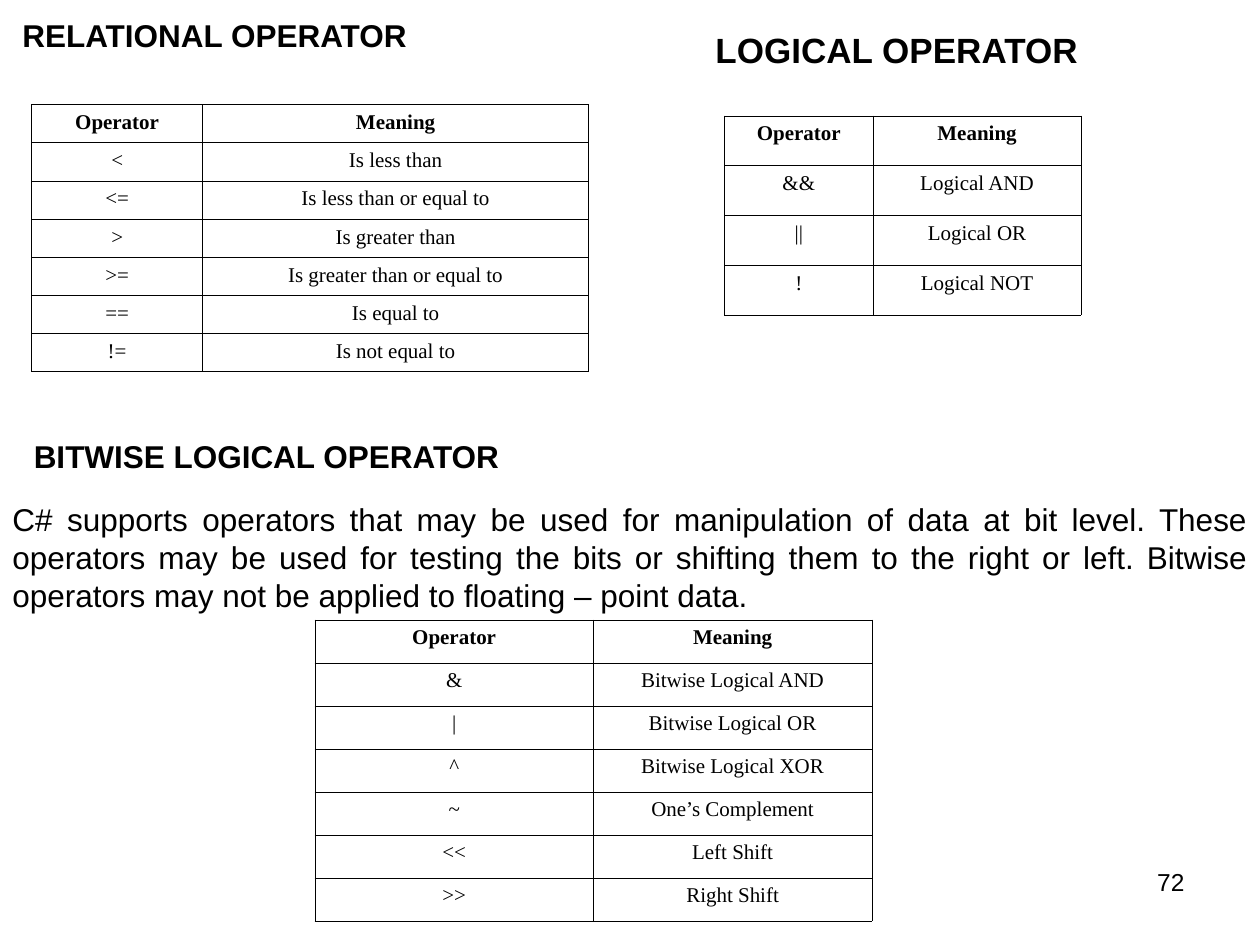
from lxml.etree import SubElement
from pptx import Presentation
from pptx.dml.color import RGBColor
from pptx.enum.text import MSO_ANCHOR as Anchor, MSO_AUTO_SIZE as AutoSize, PP_ALIGN as Align
from pptx.oxml.ns import qn
from pptx.util import Inches, Pt

BLACK = "000000"
HEADER = ("Operator", "Meaning")
RELATIONAL = [
    HEADER,
    ("<", "Is less than"),
    ("<=", "Is less than or equal to"),
    (">", "Is greater than"),
    (">=", "Is greater than or equal to"),
    ("==", "Is equal to"),
    ("!=", "Is not equal to"),
]
LOGICAL = [
    HEADER,
    ("&&", "Logical AND"),
    ("||", "Logical OR"),
    ("!", "Logical NOT"),
]
BITWISE = [
    HEADER,
    ("&", "Bitwise Logical AND"),
    ("|", "Bitwise Logical OR"),
    ("^", "Bitwise Logical XOR"),
    ("~", "One’s Complement"),
    ("<<", "Left Shift"),
    (">>", "Right Shift"),
]
BITWISE_INTRO = (
    "C# supports operators that may be used for manipulation of data at bit level. "
    "These operators may be used for testing the bits or shifting them to the right or left. "
    "Bitwise operators may not be applied to floating – point data."
)


def color(hex_value):
    return RGBColor.from_string(hex_value)


def add_run(paragraph, text, size, font="Arial", bold=False):
    run = paragraph.add_run()
    run.text = text
    run.font.size = Pt(size)
    run.font.name = font
    run.font.bold = bold
    run.font.color.rgb = color(BLACK)


def add_text(slide, text, left, top, width, height, size=18, bold=False,
             align=Align.LEFT, anchor=Anchor.MIDDLE):
    box = slide.shapes.add_textbox(Inches(left), Inches(top), Inches(width), Inches(height))
    frame = box.text_frame
    frame.word_wrap = True
    frame.auto_size = AutoSize.SHAPE_TO_FIT_TEXT if anchor == Anchor.MIDDLE else AutoSize.NONE
    frame.vertical_anchor = anchor
    paragraph = frame.paragraphs[0]
    paragraph.alignment = align
    add_run(paragraph, text, size, bold=bold)


def add_borders(cell, width=0.45):
    properties = cell._tc.get_or_add_tcPr()
    for side in ("a:lnL", "a:lnR", "a:lnT", "a:lnB"):
        line = SubElement(properties, qn(side), w=str(Pt(width)))
        fill = SubElement(line, qn("a:solidFill"))
        SubElement(fill, qn("a:srgbClr"), val=BLACK)


def fill_cell(cell, text, bold):
    add_borders(cell)
    cell.fill.background()
    paragraph = cell.text_frame.paragraphs[0]
    paragraph.alignment = Align.CENTER
    add_run(paragraph, text, 12, "Times New Roman", bold)


def add_operator_table(slide, operators, left, top, column_widths, height):
    frame = slide.shapes.add_table(
        len(operators), len(HEADER), Inches(left), Inches(top),
        Inches(sum(column_widths)), Inches(height))
    table = frame.table
    table.first_row = table.horz_banding = False
    for column, width in zip(table.columns, column_widths):
        column.width = Inches(width)
    for row_index, row in enumerate(operators):
        for column_index, text in enumerate(row):
            fill_cell(table.cell(row_index, column_index), text, bold=row_index == 0)


def main():
    deck = Presentation()
    deck.slide_width, deck.slide_height = Inches(10), Inches(7.5)
    slide = deck.slides.add_slide(deck.slide_layouts[6])

    add_text(slide, "72", 7.17, 6.83, 2.33, 0.52, size=14, align=Align.RIGHT, anchor=Anchor.TOP)

    add_text(slide, "RELATIONAL OPERATOR", 0.08, 0.08, 3.67, 0.4, bold=True)
    add_operator_table(slide, RELATIONAL, 0.25, 0.83, (1.36, 3.06), 2.12)

    add_operator_table(slide, LOGICAL, 5.75, 0.92, (1.18, 1.65), 1.58)
    add_text(slide, "LOGICAL OPERATOR", 5.58, 0.17, 3.17, 0.44, size=20, bold=True)

    add_text(slide, "BITWISE LOGICAL OPERATOR", 0.17, 3.42, 4, 0.4, bold=True)
    add_text(slide, BITWISE_INTRO, 0, 3.92, 10, 1, align=Align.JUSTIFY)
    add_operator_table(slide, BITWISE, 2.5, 4.92, (2.21, 2.21), 2.39)

    deck.save("out.pptx")


if __name__ == "__main__":
    main()
